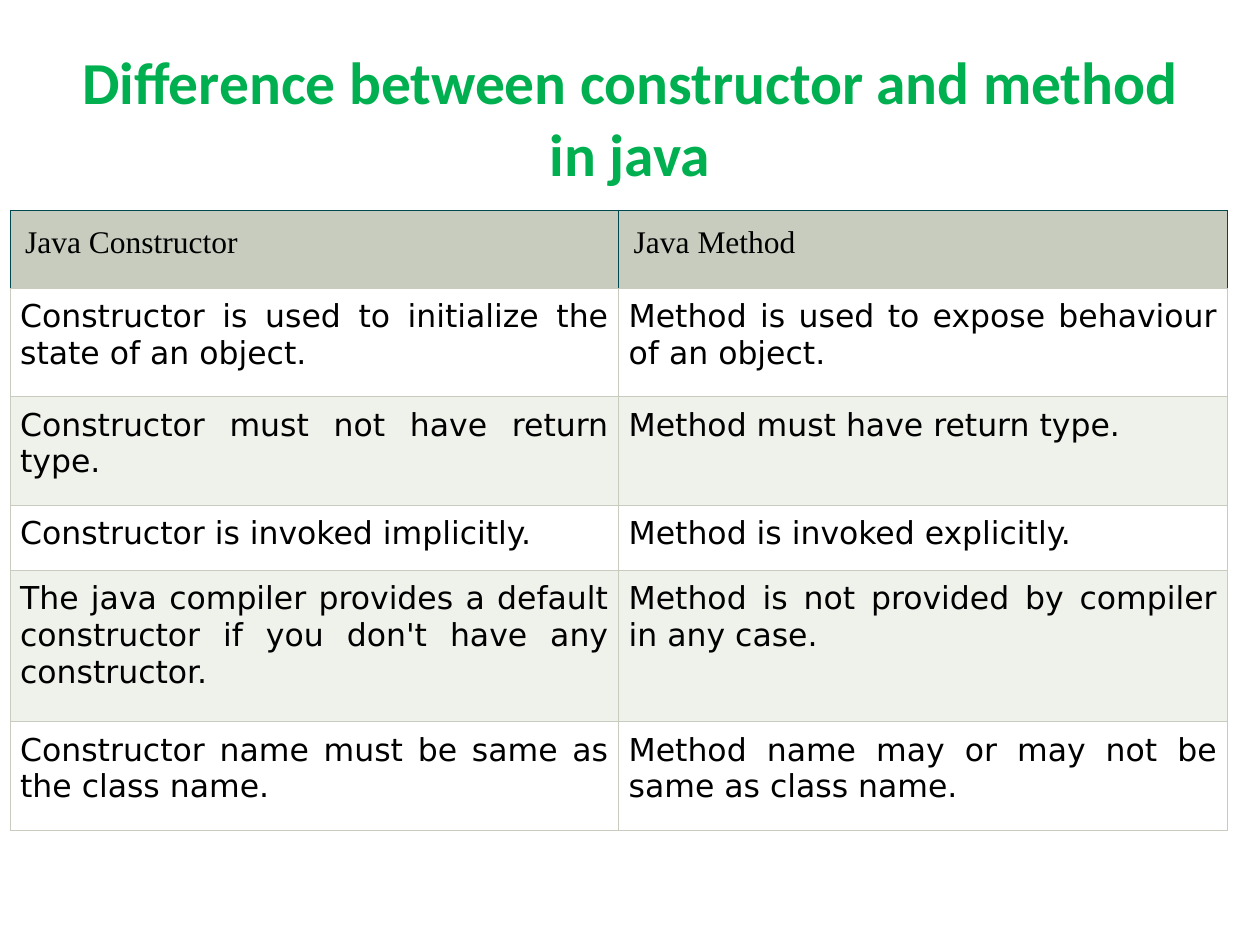
from dataclasses import dataclass

from pptx import Presentation
from pptx.dml.color import RGBColor
from pptx.enum.text import MSO_ANCHOR as Anchor, MSO_AUTO_SIZE as AutoSize, PP_ALIGN as Align
from pptx.oxml import parse_xml
from pptx.oxml.ns import nsdecls
from pptx.util import Pt

SCALE = 9144
HEADER = ["Java Constructor", "Java Method"]
ROWS = [
    ["Constructor is used to initialize the state of an object.",
     "Method is used to expose behaviour of an object."],
    ["Constructor must not have return type.", "Method must have return type."],
    ["Constructor is invoked implicitly.", "Method is invoked explicitly."],
    ["The java compiler provides a default constructor if you don't have any constructor.",
     "Method is not provided by compiler in any case."],
    ["Constructor name must be same as the class name.",
     "Method name may or may not be same as class name."],
]
HEIGHTS = [62, 86, 86, 52, 120, 86]


def px(length):
    """Turn whole px into EMU."""
    return length * SCALE


def color(value):
    """Turn a hex string into a colour."""
    return RGBColor.from_string(value)


def write(frame, text, font, size, fill, bold=False, align=Align.LEFT):
    """Write one formatted paragraph into a text frame."""
    para = frame.paragraphs[0]
    para.alignment = align
    span = para.add_run()
    span.text = text
    span.font.name = font
    span.font.size = Pt(size)
    span.font.bold = bold
    span.font.color.rgb = color(fill)


@dataclass
class ComparisonPage:
    """Hold the style and the current slide."""
    page: object
    accent: str = "00B050"
    ink: str = "000000"
    rule: str = "C7CCBE"
    header_rule: str = "00484F"
    bands: tuple = ("FFFFFF", "EFF1EB")

    def title(self, text, left, top, width, height):
        """Place and format the title placeholder."""
        box = self.page.shapes.title
        box.left, box.top, box.width, box.height = map(px, (left, top, width, height))
        frame = box.text_frame
        frame.word_wrap = True
        frame.auto_size = AutoSize.NONE
        frame.vertical_anchor = Anchor.MIDDLE
        write(frame, text, "Calibri", 34, self.accent, bold=True, align=Align.CENTER)

    def borders(self, cell, side_color, bottom_color):
        """Draw the four borders of a cell."""
        properties = cell._tc.get_or_add_tcPr()
        for side in "LRTB":
            line = bottom_color if side == "B" else side_color
            properties.append(parse_xml(
                f'<a:ln{side} {nsdecls("a")} w="{Pt(0.75)}"><a:solidFill>'
                f'<a:srgbClr val="{line}"/></a:solidFill></a:ln{side}>'))

    def cell(self, cell, text, fill, margin, side_color, font, align):
        """Fill one table cell."""
        cell.margin_left = cell.margin_right = px(margin)
        cell.margin_top = cell.margin_bottom = px(margin)
        cell.vertical_anchor = Anchor.TOP
        self.borders(cell, side_color, self.rule)
        cell.fill.solid()
        cell.fill.fore_color.rgb = color(fill)
        write(cell.text_frame, text, font, 18, self.ink, align=align)

    def table(self, header, rows, heights, left, top, column_width):
        """Add the table with a header and banded rows."""
        columns = len(header)
        table = self.page.shapes.add_table(
            len(heights), columns, px(left), px(top),
            px(column_width * columns), px(sum(heights))).table
        for column in table.columns:
            column.width = px(column_width)
        for row, height in zip(table.rows, heights):
            row.height = px(height)
        for index, text in enumerate(header):
            self.cell(table.cell(0, index), text, self.rule, 12,
                      self.header_rule, "Times New Roman", Align.LEFT)
        for number, row in enumerate(rows):
            for index, text in enumerate(row):
                self.cell(table.cell(number + 1, index), text, self.bands[number % 2], 8,
                          self.rule, "DejaVu Sans", Align.JUSTIFY)


def main():
    """Build and save the deck."""
    deck = Presentation()
    deck.slide_width, deck.slide_height = px(1000), px(750)
    page = ComparisonPage(deck.slides.add_slide(deck.slide_layouts[5]))
    page.title("Difference between constructor and method in java", 50, 30, 900, 125)
    page.table(HEADER, ROWS, HEIGHTS, 8, 167, 483)
    deck.save("out.pptx")


if __name__ == "__main__":
    main()
